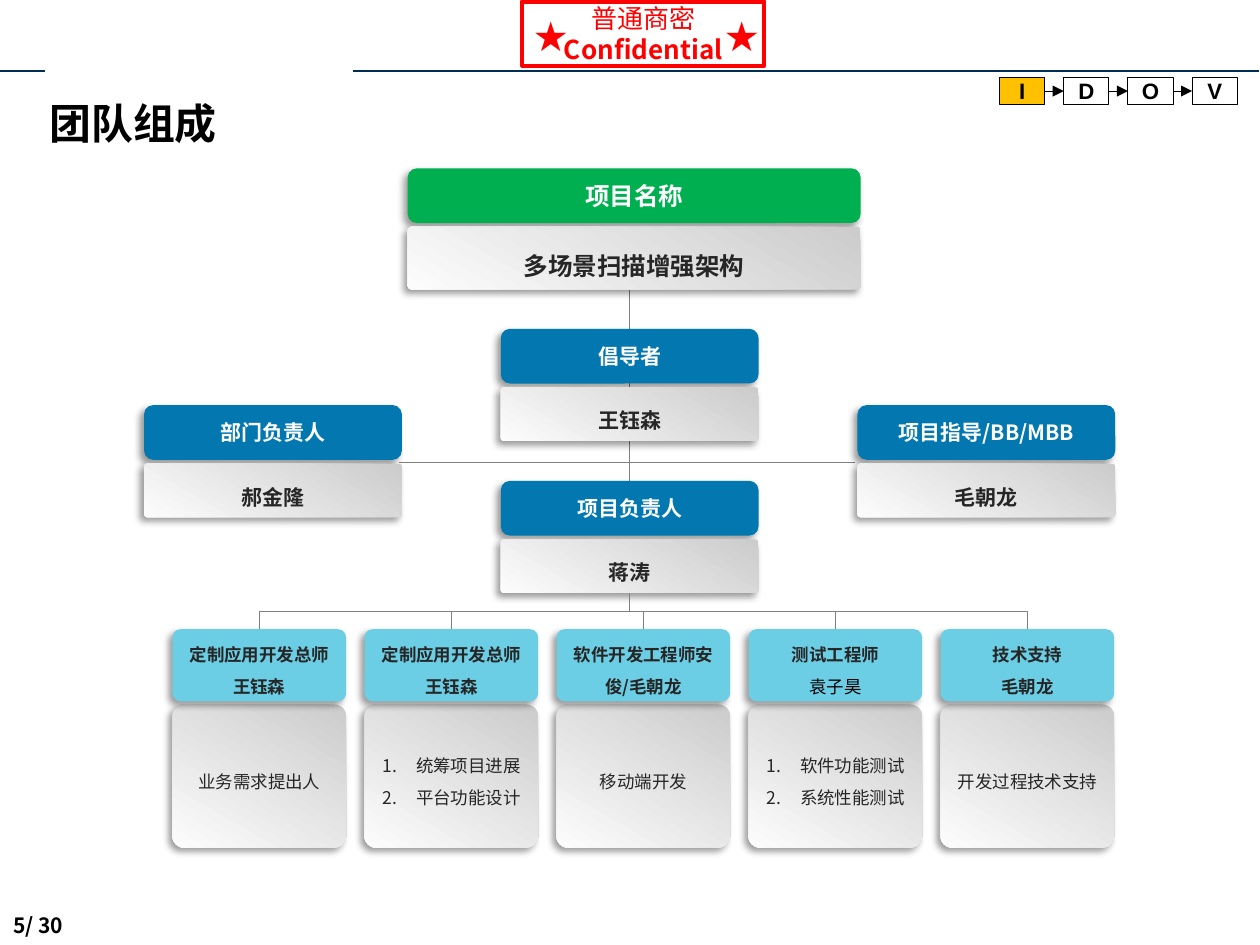
from lxml.etree import SubElement
from pptx import Presentation
from pptx.dml.color import RGBColor as RGB
from pptx.enum.shapes import MSO_CONNECTOR as Wire, MSO_SHAPE as Shape
from pptx.enum.text import MSO_ANCHOR as Anchor, MSO_AUTO_SIZE as Fit, PP_ALIGN as Align
from pptx.oxml.ns import qn
from pptx.util import Cm, Pt


class Theme:
    sans, latin, plain = "Noto Sans CJK SC", "Arial", "Calibri"
    black, white, ink = "000000", "FFFFFF", "262626"
    navy, red, amber, gray = "002E53", "FF0000", "FFC000", "808080"
    green, blue, sky = "00B050", "0378B0", "6CCEE5"
    silver = ("CCCCCC", "FCFCFC")
    title, star, stamp, project, stage, role, member = 22.6, 18, 14, 13.2, 12, 11.3, 9.4


deck = Presentation()
deck.slide_width, deck.slide_height = Cm(23.95), Cm(17.96)
slide = deck.slides.add_slide(deck.slide_layouts[3])
shapes = slide.shapes


def write(text, *, at, size=Theme.member, color=Theme.black, bold=False, face=Theme.sans,
          align=Align.CENTER, anchor=Anchor.MIDDLE, inset=(0.25, 0.13), spacing=1.0,
          kind=None, holder=None, fill=None, line=None, width=0.5, radius=None,
          shadow=False, numbered=False, second=None):
    area = [Cm(v) for v in at]
    if holder is not None:
        holder.left, holder.top, holder.width, holder.height = area
        shapes._spTree.append(holder._element)
    elif kind is None:
        holder = shapes.add_textbox(*area)
    else:
        holder = shapes.add_shape(kind, *area)
        holder.shadow.inherit = False
        if line:
            holder.line.color.rgb = RGB.from_string(line)
            holder.line.width = Pt(width)
        else:
            holder.line.fill.background()
    if radius is not None:
        holder.adjustments[0] = radius
    if isinstance(fill, tuple):
        holder.fill.gradient()
        holder.fill.gradient_angle = 240
        for stop, tone in zip(holder.fill.gradient_stops, fill):
            stop.color.rgb = RGB.from_string(tone)
    elif fill:
        holder.fill.solid()
        holder.fill.fore_color.rgb = RGB.from_string(fill)
    else:
        holder.fill.background()
    if shadow:
        effects = holder._element.spPr.find(qn("a:effectLst"))
        cast = SubElement(effects, qn("a:outerShdw"), blurRad="50800", dist="38100",
                          dir="8100000", algn="tr", rotWithShape="0")
        tint = SubElement(cast, qn("a:srgbClr"), val=Theme.black)
        SubElement(tint, qn("a:alpha"), val="40000")

    frame = holder.text_frame
    frame.text = text
    frame.word_wrap, frame.auto_size, frame.vertical_anchor = True, Fit.NONE, anchor
    frame.margin_left = frame.margin_right = Cm(inset[0])
    frame.margin_top = frame.margin_bottom = Cm(inset[1])
    for number, paragraph in enumerate(frame.paragraphs):
        look = {"color": color, "bold": bold, "face": face}
        if number and second:
            look.update(second)
        paragraph.alignment, paragraph.line_spacing = align, spacing
        paragraph.space_before = paragraph.space_after = Pt(0)
        if numbered:
            layout = paragraph._p.get_or_add_pPr()
            layout.set("marL", str(Cm(0.64)))
            layout.set("indent", str(-Cm(0.64)))
            SubElement(layout, qn("a:buFont"), typeface="+mj-lt")
            SubElement(layout, qn("a:buAutoNum"), type="arabicPeriod")
        for run in paragraph.runs:
            run.font.size, run.font.bold, run.font.name = Pt(size), look["bold"], look["face"]
            run.font.color.rgb = RGB.from_string(look["color"])
            SubElement(run._r.get_or_add_rPr(), qn("a:ea"), typeface=Theme.sans)


def connect(x1, y1, x2, y2, *, color=Theme.gray, width=0.5, kind=Wire.STRAIGHT, arrow=False):
    wire = shapes.add_connector(kind, Cm(x1), Cm(y1), Cm(x2), Cm(y2))
    wire.line.color.rgb = RGB.from_string(color)
    wire.line.width = Pt(width)
    if arrow:
        SubElement(wire._element.spPr.find(qn("a:ln")), qn("a:tailEnd"), type="triangle")
    SubElement(wire._element.spPr, qn("a:effectLst"))
    return wire


for start, end in ((6.71, 23.94), (0, 0.86)):
    connect(start, 1.35, end, 1.35, color=Theme.navy, width=1.5)

write("5/ 30", at=(0, 17.22, 2.62, 0.74), size=Theme.role, bold=True,
      align=Align.LEFT, anchor=Anchor.TOP)
write("普通商密\nConfidential", at=(9.93, 0.03, 4.6, 1.22), kind=Shape.RECTANGLE,
      line=Theme.red, width=2.25, size=Theme.stamp, color=Theme.red, second={"bold": True})
for star_x in (9.91, 13.54):
    write("★", at=(star_x, 0.18, 1.24, 1.02), size=Theme.star, color=Theme.red,
          align=Align.LEFT, anchor=Anchor.TOP)

stage_x, stage_step, stage_width = 19, 1.22, 0.86
for index, stage in enumerate("IDOV"):
    x = stage_x + index * stage_step
    write(stage, at=(x, 1.47, stage_width, 0.51), kind=Shape.RECTANGLE, line=Theme.black,
          fill=Theme.white if index else Theme.amber, size=Theme.stage, bold=True,
          face=Theme.latin, inset=(0, 0))
    if index:
        connect(x - stage_step + stage_width, 1.73, x, 1.73, color=Theme.black, arrow=True)

write("团队组成", at=(0.69, 1.73, 13.54, 1.22), holder=shapes.title, size=Theme.title,
      bold=True, align=Align.LEFT, anchor=Anchor.TOP)

axis = 11.96
connect(axis, 5.51, axis, 9.14)
connect(7.59, 8.79, 16.26, 8.79)

card = {"kind": Shape.ROUNDED_RECTANGLE, "shadow": True, "inset": (0.2, 0.1)}
leaders = (
    ("部门负责人", "郝金隆", 2.74, 7.7, 4.9, 1.02, Theme.blue, Theme.role),
    ("项目指导/BB/MBB", "毛朝龙", 16.3, 7.7, 4.9, 1.02, Theme.blue, Theme.role),
    ("倡导者", "王钰森", 9.52, 6.25, 4.9, 1.02, Theme.blue, Theme.role),
    ("项目名称", "多场景扫描增强架构", 7.75, 3.2, 8.61, 1.19, Theme.green, Theme.project),
    ("项目负责人", "蒋涛", 9.52, 9.14, 4.9, 1.02, Theme.blue, Theme.role),
)
for role, name, x, y, width, name_height, fill, size in leaders:
    write(role, at=(x, y, width, 1.04), fill=fill, size=size, color=Theme.white,
          bold=True, **card)
    write(name, at=(x, y + 1.11, width, name_height), fill=Theme.silver, size=size,
          color=Theme.ink, bold=True, spacing=1.5, radius=0.06, **card)

member_x, member_step, member_width = 3.28, 3.65, 3.3
fork_y, member_y = 11.28, 11.96
members = (
    ("定制应用开发总师王钰森", "业务需求提出人"),
    ("定制应用开发总师王钰森", "统筹项目进展\n平台功能设计"),
    ("软件开发工程师安俊/毛朝龙", "移动端开发"),
    ("测试工程师\n袁子昊", "软件功能测试\n系统性能测试"),
    ("技术支持\n毛朝龙", "开发过程技术支持"),
)
lists = iter([slide.placeholders[1], slide.placeholders[2]])
tester = {"bold": False, "color": Theme.black, "face": Theme.plain}
for index, (person, duty) in enumerate(members):
    x = member_x + index * member_step
    target = x + member_width / 2
    middle_x, middle_y = (axis + target) / 2, (fork_y + member_y) / 2
    half_drop, half_reach = (member_y - fork_y) / 2, abs(target - axis) / 2
    elbow = connect(middle_x - half_drop, middle_y - half_reach,
                    middle_x + half_drop, middle_y + half_reach, kind=Wire.ELBOW)
    turn = elbow._element.spPr.find(qn("a:xfrm"))
    turn.set("rot", "5400000" if target < axis else "16200000")
    if target > axis:
        turn.set("flipH", "1")

    duty_area = (x, 13.39, member_width, 2.72)
    duty_text = {"at": duty_area, "color": Theme.ink, "spacing": 1.5}
    is_list = "\n" in duty
    write("" if is_list else duty, fill=Theme.silver, radius=0.08, **duty_text, **card)
    if is_list:
        write(duty, holder=next(lists), numbered=True, inset=card["inset"], **duty_text)
    write(person, at=(x, member_y, member_width, 1.37), fill=Theme.sky, color=Theme.ink,
          bold=True, spacing=1.5, radius=0.11,
          second=tester if person.startswith("测试") else None, **card)

deck.save("out.pptx")
